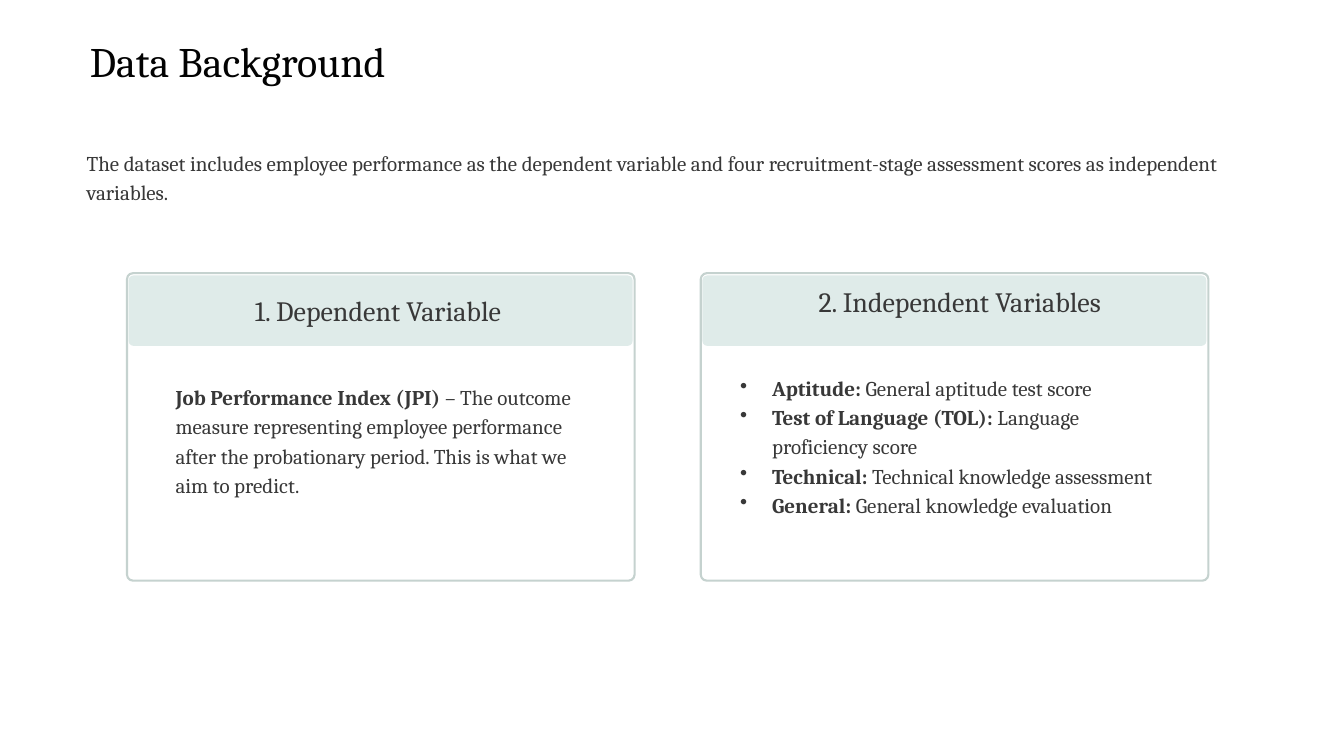
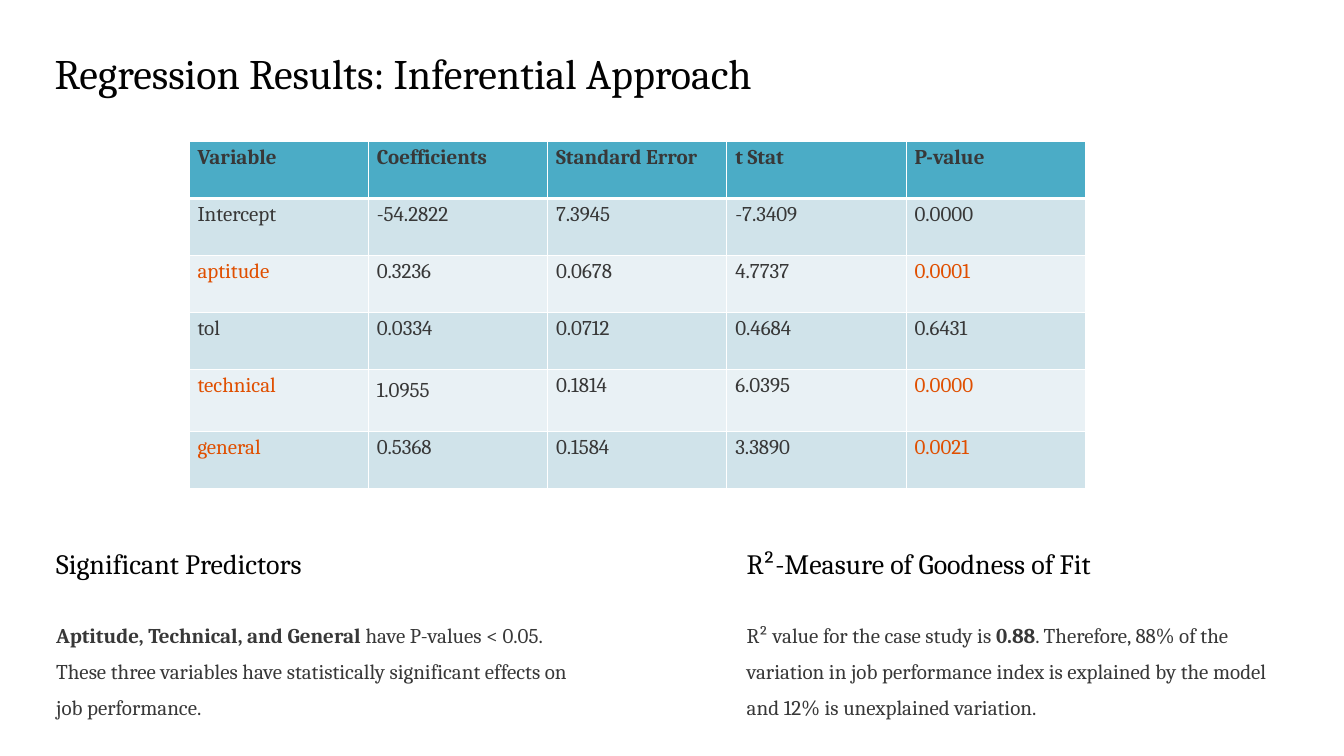
"""Build two slides on job performance data and its regression results."""
from dataclasses import dataclass

from lxml import etree
from pptx import Presentation
from pptx.dml.color import RGBColor
from pptx.enum.shapes import MSO_SHAPE
from pptx.enum.text import PP_ALIGN
from pptx.oxml.ns import qn
from pptx.util import Cm, Pt

ROUNDED = MSO_SHAPE.ROUNDED_RECTANGLE
LEFT, CENTER = PP_ALIGN.LEFT, PP_ALIGN.CENTER
FONT = "Cambria"
COLORS = {
    "title": "020202",
    "text": "383838",
    "accent": "E04F00",
    "outline": "C5D2CF",
    "band": "DFEBE9",
    "header": "4BACC6",
    "row_dark": "D0E3EA",
    "row_light": "E9F1F5",
    "border": "FFFFFF",
}

CARD_LEFTS = (3.84, 21.19)
CARD_TOP = 8.26
NOTE_LEFTS = (1.7, 22.58)
ROW_HEIGHT, TALL_ROW_HEIGHT = 1.72, 1.87
COLUMN_WIDTH = 5.42
SIGNIFICANT = ("aptitude", "technical", "general")
RESULTS = (
    ("Variable", "Coefficients", "Standard Error", "t Stat", "P-value"),
    ("Intercept", "-54.2822", "7.3945", "-7.3409", "0.0000"),
    ("aptitude", "0.3236", "0.0678", "4.7737", "0.0001"),
    ("tol", "0.0334", "0.0712", "0.4684", "0.6431"),
    ("technical", "1.0955", "0.1814", "6.0395", "0.0000"),
    ("general", "0.5368", "0.1584", "3.3890", "0.0021"),
)


@dataclass
class Block:
    """Hold one paragraph as (text, bold) runs with its style."""
    runs: tuple
    size: float = 18
    leading: float = 25
    color: str = "text"
    align: int = LEFT
    before: float = 0
    bullet: bool = False


def rgb(name):
    """Return the named colour."""
    return RGBColor.from_string(COLORS[name])


def add_run(paragraph, text, size, color, bold=False):
    """Append one styled run."""
    run = paragraph.add_run()
    run.text = text
    run.font.name = FONT
    run.font.size = Pt(size)
    run.font.bold = bold
    run.font.color.rgb = rgb(color)


def add_bullet(paragraph):
    """Give the paragraph a hanging bullet."""
    properties = paragraph._p.get_or_add_pPr()
    properties.set("marL", str(Cm(0.97)))
    properties.set("indent", str(-Cm(0.97)))
    etree.SubElement(properties, qn("a:buChar"), char="•")


def add_text(slide, box, blocks):
    """Add a wrapping text box without margins."""
    frame = slide.shapes.add_textbox(*map(Cm, box)).text_frame
    frame.word_wrap = True
    frame.margin_left = frame.margin_right = 0
    frame.margin_top = frame.margin_bottom = 0
    for index, block in enumerate(blocks):
        paragraph = frame.add_paragraph() if index else frame.paragraphs[0]
        if block.bullet:
            add_bullet(paragraph)
        paragraph.alignment = block.align
        paragraph.line_spacing = Pt(block.leading)
        if block.before:
            paragraph.space_before = Pt(block.before)
        for text, bold in block.runs:
            add_run(paragraph, text, block.size, block.color, bold)


def add_title(slide, left, top, text):
    """Add the slide title."""
    add_text(slide, (left, top, 37.92, 1.7),
             [Block(((text, False),), 36, 51, "title")])


def add_panel(slide, box, radius, fill=None, line=None):
    """Add a rounded rectangle with a fill, an outline or both."""
    shape = slide.shapes.add_shape(ROUNDED, *map(Cm, box))
    shape.adjustments[0] = radius
    shape.shadow.inherit = False
    if fill:
        shape.fill.solid()
        shape.fill.fore_color.rgb = rgb(fill)
    else:
        shape.fill.background()
    if line:
        shape.line.color.rgb = rgb(line)
        shape.line.width = Pt(1.8)
    else:
        shape.line.fill.background()


def add_card(slide, left, text_box, heading, blocks):
    """Add an outlined card with a heading band and body text."""
    add_panel(slide, (left, CARD_TOP, 15.35, 9.3), 0.02, line="outline")
    add_panel(slide, (left + 0.05, CARD_TOP + 0.07, 15.24, 2.13), 0.07, fill="band")
    blocks[0].before = 46
    title = Block(((heading, False),), 24, 20.5, align=CENTER)
    add_text(slide, text_box, [title, *blocks])


def add_note(slide, left, heading, runs):
    """Add a heading with an explanation under it."""
    add_text(slide, (left, 16.46, 16.31, 6.58), [
        Block(((heading, False),), 24, 30.5, "title"),
        Block(runs, leading=30.5, before=28),
    ])


def add_border(cell, side, width):
    """Draw one side of a cell border."""
    line = etree.SubElement(cell._tc.get_or_add_tcPr(), qn(f"a:ln{side}"),
                            w=str(Pt(width)))
    fill = etree.SubElement(line, qn("a:solidFill"))
    etree.SubElement(fill, qn("a:srgbClr"), val=COLORS["border"])


def style_cell(cell, row):
    """Set the borders and the banded fill of a cell."""
    for side in "LRTB":
        thick = (row == 0 and side == "B") or (row == 1 and side == "T")
        add_border(cell, side, 3 if thick else 1)
    cell.fill.solid()
    band = "row_dark" if row % 2 else "row_light"
    cell.fill.fore_color.rgb = rgb(band if row else "header")


def add_results_table(slide):
    """Add the regression table with significant predictors highlighted."""
    rows, columns = len(RESULTS), len(RESULTS[0])
    table = slide.shapes.add_table(
        rows, columns, Cm(5.72), Cm(4.29),
        Cm(columns * COLUMN_WIDTH), Cm(rows * ROW_HEIGHT)).table
    for column in table.columns:
        column.width = Cm(COLUMN_WIDTH)
    for row, values in enumerate(RESULTS):
        tall = values[0] == "technical"
        table.rows[row].height = Cm(TALL_ROW_HEIGHT if tall else ROW_HEIGHT)
        for column, value in enumerate(values):
            cell = table.cell(row, column)
            style_cell(cell, row)
            paragraph = cell.text_frame.paragraphs[0]
            if tall and column == 1:
                paragraph.line_spacing = Pt(25)
            marked = values[0] in SIGNIFICANT and column in (0, columns - 1)
            add_run(paragraph, value, 18, "accent" if marked else "text", row == 0)


def build_background(slide):
    """Fill the slide that introduces the data."""
    add_title(slide, 2.72, 0.79, "Data Background")
    add_text(slide, (2.62, 4.42, 36.22, 1.75), [Block(((
        "The dataset includes employee performance as the dependent variable and "
        "four recruitment-stage assessment scores as independent variables.", False),))])
    add_card(slide, CARD_LEFTS[0], (5.31, 9.17, 12.24, 13.06), "1. Dependent Variable", [
        Block((("Job Performance Index (JPI)", True),
               (" – The outcome measure representing employee performance after the "
                "probationary period. This is what we aim to predict.", False)))])
    scores = (
        ("Aptitude:", " General aptitude test score"),
        ("Test of Language (TOL):", " Language proficiency score"),
        ("Technical:", " Technical knowledge assessment"),
        ("General:", " General knowledge evaluation"),
    )
    add_card(slide, CARD_LEFTS[1], (22.38, 8.89, 13.28, 13.06), "2. Independent Variables", [
        Block(((name, True), (meaning, False)), bullet=True) for name, meaning in scores])


def build_results(slide):
    """Fill the slide that reports the regression."""
    add_title(slide, 1.65, 1.17, "Regression Results: Inferential Approach")
    add_note(slide, NOTE_LEFTS[0], "Significant Predictors", (
        ("Aptitude, Technical, and General", True),
        (" have P-values < 0.05. These three variables have statistically "
         "significant effects on job performance.", False)))
    add_note(slide, NOTE_LEFTS[1], "R²-Measure of Goodness of Fit", (
        ("R² value for the case study is ", False),
        ("0.88", True),
        (". Therefore, 88% of the variation in job performance index is explained "
         "by the model and 12% is unexplained variation.", False)))
    add_results_table(slide)


def main():
    """Build and save the presentation."""
    presentation = Presentation()
    presentation.slide_width = Cm(40.64)
    presentation.slide_height = Cm(22.86)
    blank = presentation.slide_layouts[6]
    for build in (build_background, build_results):
        build(presentation.slides.add_slide(blank))
    presentation.save("out.pptx")


if __name__ == "__main__":
    main()
